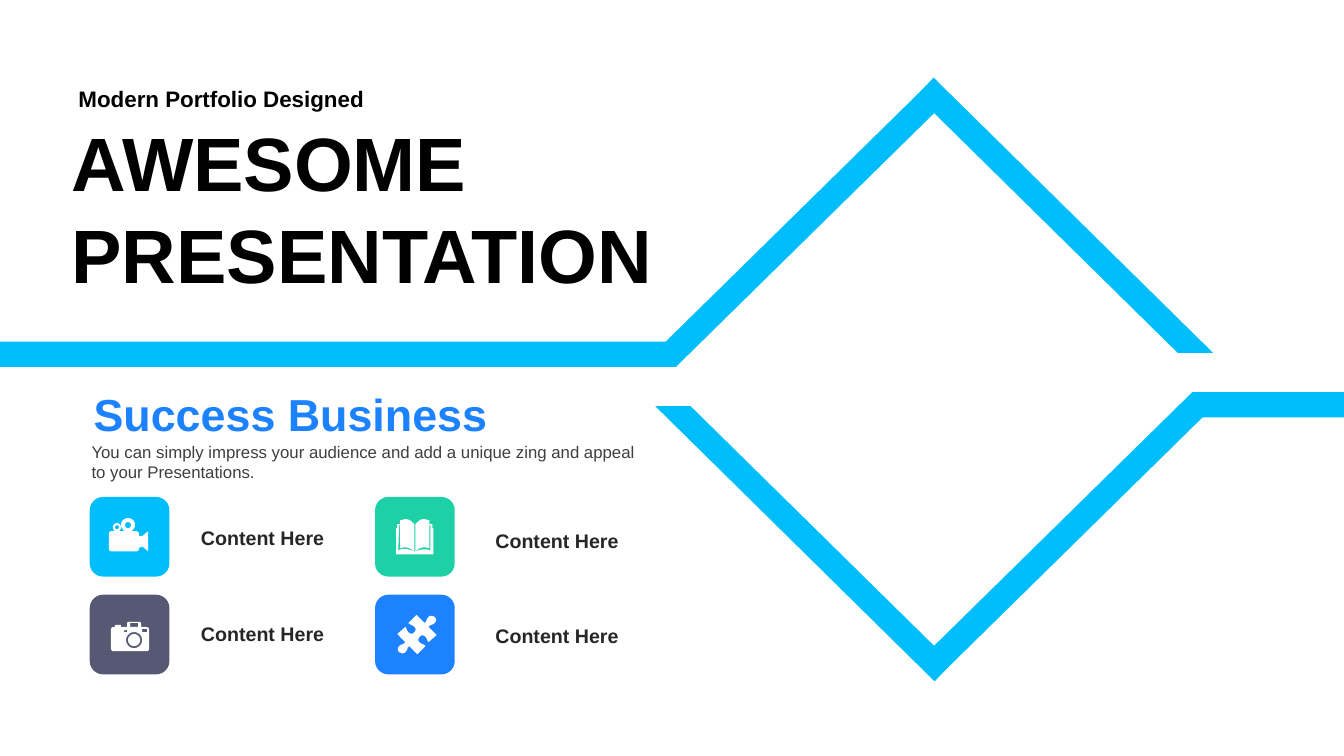
from math import cos, pi, sin

from pptx import Presentation
from pptx.dml.color import RGBColor
from pptx.enum.shapes import MSO_SHAPE
from pptx.enum.text import MSO_ANCHOR, MSO_AUTO_SIZE, PP_ALIGN
from pptx.util import Inches, Pt

CYAN, BLUE, GREEN, SLATE = "00BDFB", "1C82FF", "1ED0A6", "565874"
WHITE, BLACK, DARK, GREY = "FFFFFF", "000000", "262626", "3F3F3F"


def color(code):
    return RGBColor.from_string(code)


def ring(x, y, r, count=24):
    """Points of a circle."""
    return [(x + r * cos(2 * pi * i / count), y + r * sin(2 * pi * i / count))
            for i in range(count)]


def box(left, top, right, bottom):
    return [(left, top), (right, top), (right, bottom), (left, bottom)]


def trace(*steps):
    """Points of an outline: a pair is a corner, six numbers a cubic curve."""
    points = []
    for step in steps:
        if len(step) == 2:
            points.append(step)
            continue
        knots = [points[-1], step[:2], step[2:4], step[4:]]
        for i in range(1, 7):
            t = i / 6
            parts = ((1 - t) ** 3, 3 * t * (1 - t) ** 2, 3 * t * t * (1 - t), t ** 3)
            points.append(tuple(sum(p * k[axis] for p, k in zip(parts, knots))
                                for axis in (0, 1)))
    return points


def turn(points, x, y):
    """Turn points half round; x and y are twice the centre."""
    return [(x - a, y - b) for a, b in points]


class Deck:
    font = "Arial"

    def __init__(self, slide):
        self.slide = slide
        self.shapes = slide.shapes

    def paint(self, shape, fill):
        shape.fill.solid()
        shape.fill.fore_color.rgb = color(fill)
        shape.line.fill.background()
        shape.shadow.inherit = False

    def rect(self, left, top, width, height, fill, angle=0, kind=MSO_SHAPE.RECTANGLE):
        shape = self.shapes.add_shape(kind, Inches(left), Inches(top),
                                      Inches(width), Inches(height))
        shape.rotation = angle
        self.paint(shape, fill)

    def free(self, fill, *loops):
        """Draw one shape from closed loops; inner loops are holes."""
        loops = [[(Inches(x), Inches(y)) for x, y in loop] for loop in loops]
        pen = self.shapes.build_freeform(*loops[0][0])
        for i, loop in enumerate(loops):
            if i:
                pen.move_to(*loop[0])
            pen.add_line_segments(loop[1:], close=True)
        self.paint(pen.convert_to_shape(), fill)

    def style(self, frame, lines, size, fill, bold=True, align=PP_ALIGN.LEFT,
              anchor=MSO_ANCHOR.MIDDLE, grow=True):
        """Put lines into a frame and format them."""
        frame.word_wrap = True
        frame.vertical_anchor = anchor
        frame.auto_size = MSO_AUTO_SIZE.SHAPE_TO_FIT_TEXT if grow else MSO_AUTO_SIZE.NONE
        frame.text = lines
        for para in frame.paragraphs:
            para.alignment = align
            para.font.name = self.font
            para.font.size = Pt(size)
            para.font.bold = bold
            para.font.color.rgb = color(fill)

    def text(self, left, top, width, height, lines, size, fill, **format):
        shape = self.shapes.add_textbox(Inches(left), Inches(top),
                                        Inches(width), Inches(height))
        self.style(shape.text_frame, lines, size, fill, **format)

    def title(self, left, top, width, height, lines, size, fill, pitch):
        shape = self.shapes.title
        shape.left, shape.top = Inches(left), Inches(top)
        shape.width, shape.height = Inches(width), Inches(height)
        self.style(shape.text_frame, lines, size, fill)
        for para in shape.text_frame.paragraphs:
            para.line_spacing = Pt(pitch)


def draw_bands(deck):
    deck.rect(0, 3.39, 6.71, 0.25, CYAN)
    deck.rect(11.83, 3.89, 1.51, 0.25, CYAN)
    deck.rect(7.82, 0.38, 0.25, 3.73, CYAN, 45.5)
    deck.rect(10.46, 3.42, 0.25, 3.73, CYAN, 45.5)
    edge = [(9.26, 0.77), (12.03, 3.5), (11.68, 3.5), (9.09, 0.95)]
    deck.free(CYAN, edge)
    deck.free(CYAN, turn(edge, 18.53, 7.53))


def draw_camera(deck):
    body = trace(
        (1.27, 6.17), (1.39, 6.17), (1.4, 6.18), (1.4, 6.22), (1.45, 6.22),
        (1.47, 6.22, 1.48, 6.23, 1.48, 6.25), (1.48, 6.43),
        (1.48, 6.45, 1.47, 6.46, 1.45, 6.46), (1.13, 6.46),
        (1.11, 6.46, 1.1, 6.45, 1.1, 6.43), (1.1, 6.25),
        (1.1, 6.23, 1.11, 6.22, 1.13, 6.22), (1.14, 6.22), (1.14, 6.2),
        (1.2, 6.2), (1.2, 6.22), (1.26, 6.22), (1.26, 6.18))
    deck.free(WHITE, body, ring(1.33, 6.35, 0.08), ring(1.33, 6.35, 0.06),
              box(1.23, 6.25, 1.26, 6.27), box(1.41, 6.24, 1.46, 6.27),
              box(1.29, 6.18, 1.37, 6.22))


def draw_video(deck):
    body = trace(
        (1.27, 5.14), (1.31, 5.14, 1.34, 5.17, 1.34, 5.21),
        (1.34, 5.23, 1.32, 5.26, 1.3, 5.27), (1.35, 5.27),
        (1.36, 5.27, 1.38, 5.28, 1.38, 5.3), (1.38, 5.32), (1.41, 5.32),
        (1.47, 5.27), (1.47, 5.47), (1.41, 5.42), (1.4, 5.43), (1.38, 5.43),
        (1.38, 5.44), (1.38, 5.46, 1.36, 5.47, 1.35, 5.47), (1.11, 5.47),
        (1.09, 5.47, 1.08, 5.46, 1.08, 5.44), (1.08, 5.3),
        (1.08, 5.28, 1.09, 5.27, 1.11, 5.27), (1.14, 5.27),
        (1.13, 5.26, 1.12, 5.25, 1.12, 5.23), (1.12, 5.21, 1.14, 5.19, 1.16, 5.19),
        (1.18, 5.19, 1.2, 5.21, 1.2, 5.23), (1.2, 5.25, 1.19, 5.26, 1.18, 5.27),
        (1.24, 5.27), (1.22, 5.26, 1.2, 5.23, 1.2, 5.21),
        (1.2, 5.17, 1.23, 5.14, 1.27, 5.14))
    deck.free(WHITE, body, ring(1.16, 5.23, 0.02), ring(1.27, 5.21, 0.03))


def draw_puzzle(deck):
    half = trace(
        (4.31, 6.12), (4.33, 6.14, 4.33, 6.16, 4.31, 6.18),
        (4.3, 6.2, 4.27, 6.19, 4.25, 6.22), (4.33, 6.3), (4.25, 6.37),
        (4.23, 6.35, 4.24, 6.33, 4.21, 6.31), (4.2, 6.3, 4.17, 6.3, 4.16, 6.32),
        (4.15, 6.33, 4.14, 6.36, 4.16, 6.37), (4.19, 6.4, 4.19, 6.38, 4.22, 6.41),
        (4.14, 6.49), (4.06, 6.41), (4.03, 6.43, 4.05, 6.44, 4.02, 6.47),
        (4, 6.49, 3.98, 6.48, 3.96, 6.47))
    deck.free(WHITE, half + turn(half, 8.27, 12.59))


def draw_book(deck):
    deck.free(WHITE, trace(
        (4.11, 5.47), (4.12, 5.47), (4.18, 5.45, 4.21, 5.44, 4.27, 5.46),
        (4.27, 5.21), (4.26, 5.21), (4.26, 5.44),
        (4.21, 5.42, 4.16, 5.43, 4.12, 5.47), (4.12, 5.2),
        (4.15, 5.17, 4.17, 5.15, 4.2, 5.15), (4.22, 5.15, 4.24, 5.16, 4.26, 5.16),
        (4.26, 5.2), (4.29, 5.2), (4.29, 5.24), (4.3, 5.24), (4.3, 5.5),
        (3.93, 5.5), (3.93, 5.24), (3.94, 5.24), (3.94, 5.2), (3.97, 5.2),
        (3.97, 5.16), (3.99, 5.16, 4.01, 5.15, 4.02, 5.15),
        (4.06, 5.15, 4.08, 5.17, 4.11, 5.2), (4.11, 5.47),
        (4.06, 5.43, 4.02, 5.42, 3.97, 5.44), (3.97, 5.21), (3.96, 5.21),
        (3.95, 5.46), (4.02, 5.43, 4.05, 5.45, 4.11, 5.47)))


def main():
    prs = Presentation()
    prs.slide_width, prs.slide_height = Inches(13.33), Inches(7.5)
    deck = Deck(prs.slides.add_slide(prs.slide_layouts[5]))

    draw_bands(deck)
    deck.text(0.83, 3.87, 5.58, 0.47, "Success Business", 32, BLUE, grow=False)
    deck.text(0.81, 4.33, 5.6, 0.5,
              "You can simply impress your audience and add a unique zing "
              "and appeal to your Presentations.",
              12, GREY, bold=False, anchor=MSO_ANCHOR.TOP, grow=False)

    tiles = [(0.89, 4.93, CYAN, 1.75, 5.16), (0.89, 5.9, SLATE, 1.75, 6.12),
             (3.72, 4.93, GREEN, 4.67, 5.19), (3.72, 5.9, BLUE, 4.67, 6.14)]
    for left, top, fill, label_left, label_top in tiles:
        deck.rect(left, top, 0.79, 0.79, fill, kind=MSO_SHAPE.ROUNDED_RECTANGLE)
        deck.text(label_left, label_top, 1.71, 0.34, "Content Here", 14, DARK,
                  align=PP_ALIGN.CENTER)
    for draw in (draw_camera, draw_video, draw_puzzle, draw_book):
        draw(deck)

    deck.title(0.61, 1.09, 7.36, 1.92, "AWESOME\nPRESENTATION", 54, BLACK, 65.6)
    deck.text(0.68, 0.8, 3.39, 0.37, "Modern Portfolio Designed", 16, BLACK,
              anchor=MSO_ANCHOR.TOP)
    prs.save("out.pptx")


if __name__ == "__main__":
    main()
